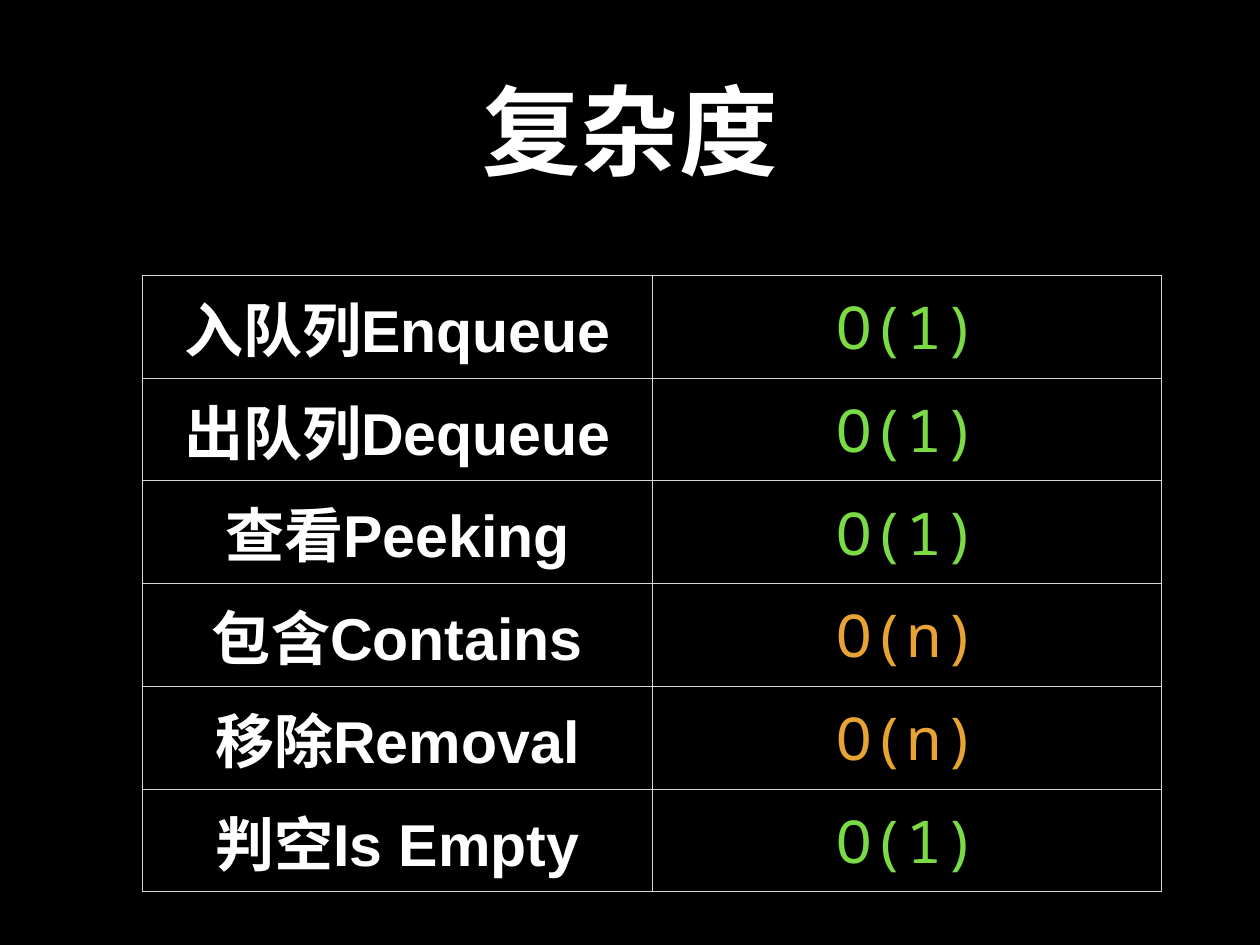
from lxml import etree
from pptx import Presentation
from pptx.dml.color import RGBColor
from pptx.enum.text import MSO_ANCHOR, MSO_AUTO_SIZE, PP_ALIGN
from pptx.oxml.ns import qn
from pptx.util import Inches, Pt

CENTER = PP_ALIGN.CENTER
MIDDLE = MSO_ANCHOR.MIDDLE
NO_FIT = MSO_AUTO_SIZE.NONE
BLACK = RGBColor(0x00, 0x00, 0x00)
WHITE = RGBColor(0xFF, 0xFF, 0xFF)
GREEN = RGBColor(0x7B, 0xDB, 0x45)
AMBER = RGBColor(0xE8, 0xA4, 0x32)
GREY = RGBColor(0xD6, 0xD7, 0xD6)
SANS = "Arial"
MONO = "Noto Sans Mono"
INSET = Inches(0.06)
COL = Inches(5.75)
ROW = Inches(1.16)
COSTS = [
    ("入队列Enqueue", "O(1)"),
    ("出队列Dequeue", "O(1)"),
    ("查看Peeking", "O(1)"),
    ("包含Contains", "O(n)"),
    ("移除Removal", "O(n)"),
    ("判空Is Empty", "O(1)"),
]
TINTS = {"O(1)": GREEN, "O(n)": AMBER}


def write(box, text, size, font, color, bold):
    """Put one centred line of styled text in a title or cell."""
    frame = box.text_frame
    frame.text = text
    line = frame.paragraphs[0]
    line.alignment = CENTER
    style = line.runs[0].font
    style.size = Pt(size)
    style.name = font
    style.bold = bold
    style.color.rgb = color
    box.margin_left = box.margin_right = INSET
    box.margin_top = box.margin_bottom = INSET


def frame_cell(cell):
    """Fill a cell with black and draw its four borders."""
    cell.fill.solid()
    cell.fill.fore_color.rgb = BLACK
    props = cell._tc.get_or_add_tcPr()
    for spot, side in enumerate(("a:lnL", "a:lnR", "a:lnT", "a:lnB")):
        edge = etree.Element(qn(side), w=str(Pt(1)))
        fill = etree.SubElement(edge, qn("a:solidFill"))
        etree.SubElement(fill, qn("a:srgbClr"), val=str(GREY))
        props.insert(spot, edge)


deck = Presentation()
deck.slide_width = Inches(14.22)
deck.slide_height = Inches(10.67)
slide = deck.slides.add_slide(deck.slide_layouts[5])
slide.background.fill.solid()
slide.background.fill.fore_color.rgb = BLACK

title = slide.shapes.title
title.left, title.top = Inches(1.04), Inches(0.28)
title.width, title.height = Inches(12.14), Inches(2.36)
write(title, "复杂度", 80, MONO, WHITE, True)
head = title.text_frame
head.margin_left = head.margin_right = INSET
head.margin_top = head.margin_bottom = INSET
head.vertical_anchor = MIDDLE
head.auto_size = NO_FIT

count = len(COSTS)
table = slide.shapes.add_table(
    count, 2, Inches(1.61), Inches(3.11), 2 * COL, count * ROW
).table
table.first_row = False
table.horz_banding = False
for row, (name, cost) in zip(table.rows, COSTS):
    row.height = ROW
    left, right = row.cells
    write(left, name, 48, SANS, WHITE, True)
    write(right, cost, 48, MONO, TINTS[cost], False)
    for cell in (left, right):
        cell.vertical_anchor = MIDDLE
        frame_cell(cell)

deck.save("out.pptx")
